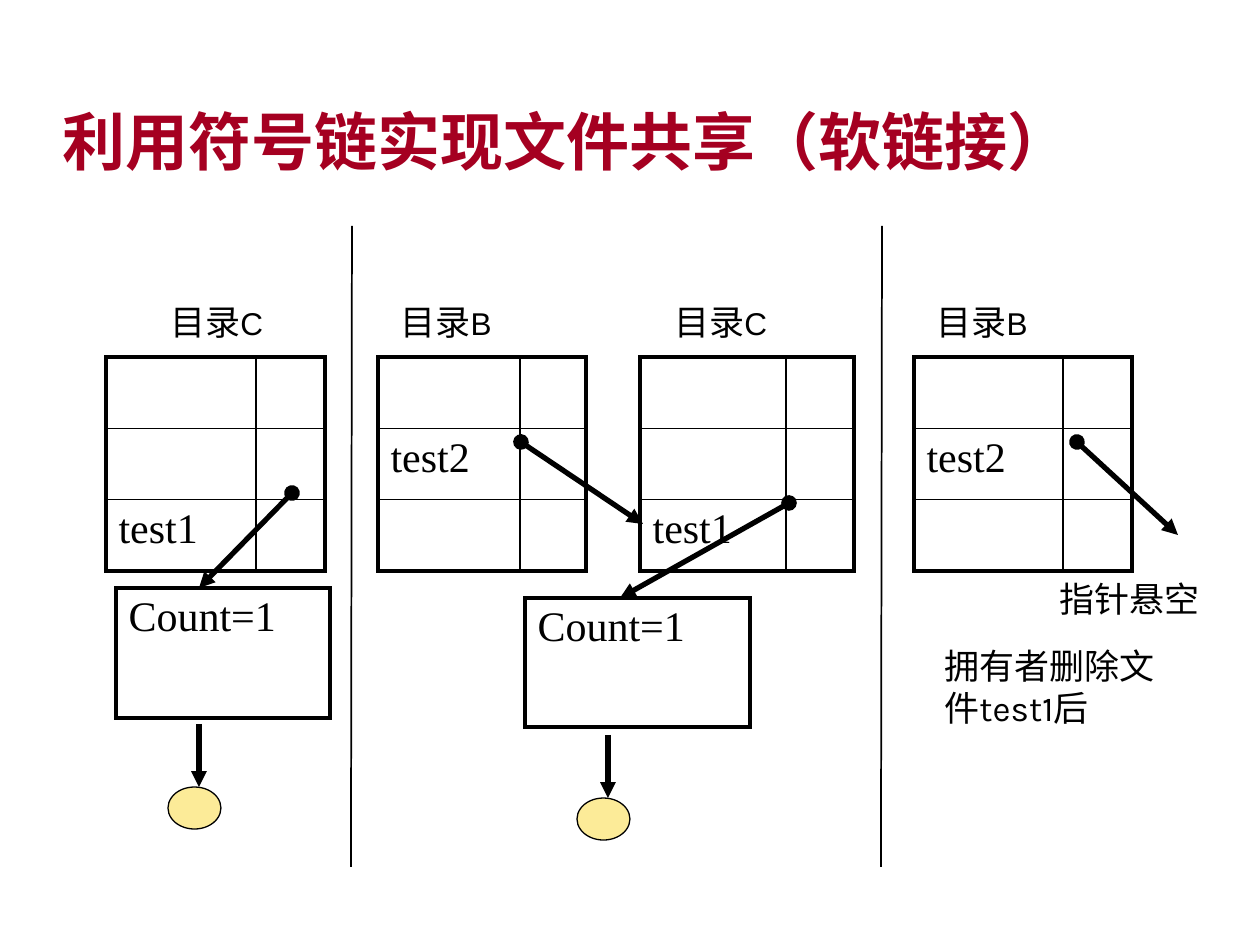
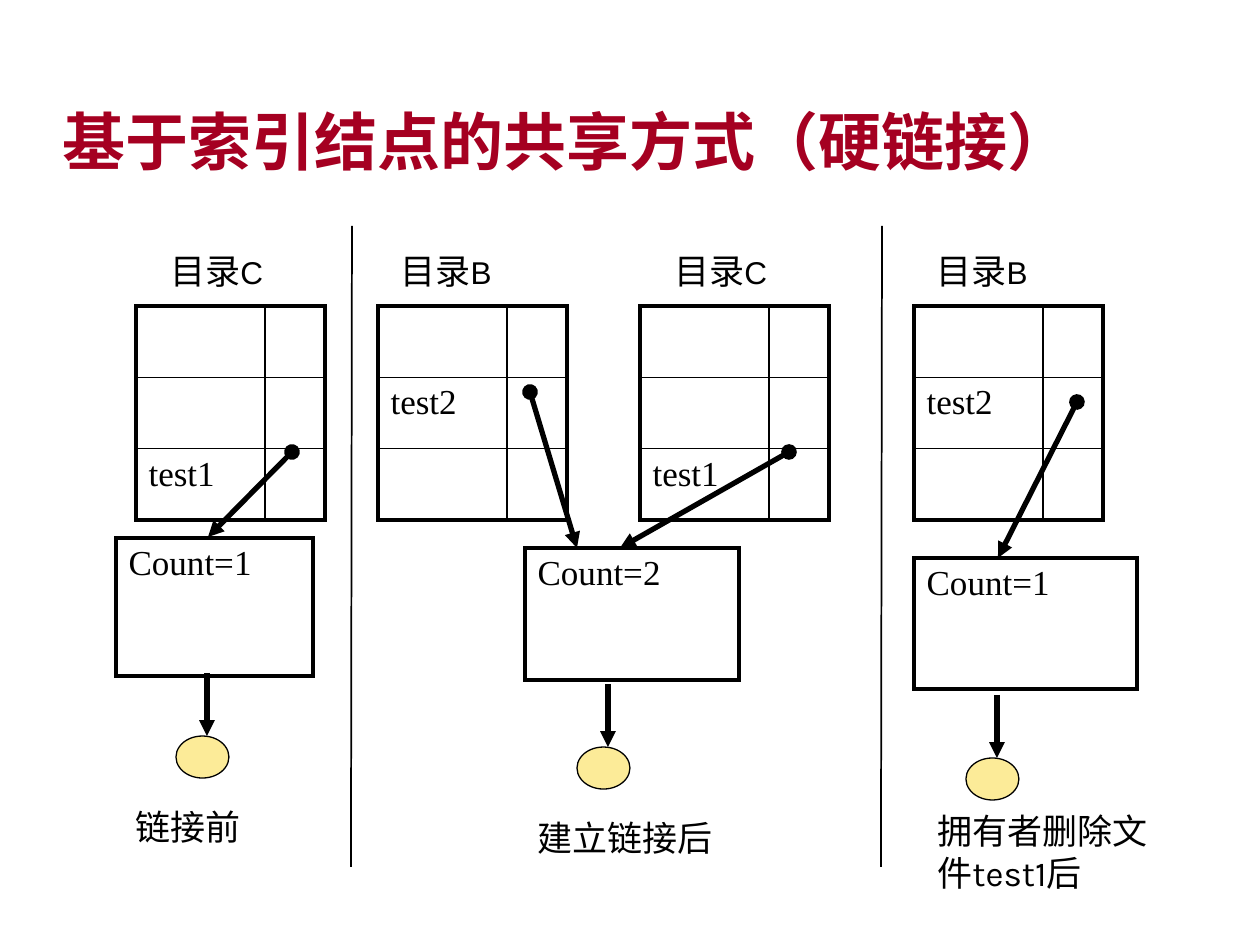
from lxml.etree import SubElement
from pptx import Presentation
from pptx.dml.color import RGBColor
from pptx.enum.lang import MSO_LANGUAGE_ID as Language
from pptx.enum.shapes import MSO_CONNECTOR as Connector, MSO_SHAPE as Preset
from pptx.enum.text import MSO_ANCHOR as Anchor
from pptx.oxml.ns import qn
from pptx.util import Emu, Pt

BLACK, CRIMSON, YELLOW = "000000", "A50021", "FCEB98"
SANS, BODY, SERIF = "Arial", "Karla", "Times New Roman"

TITLE_AREA = (50, 98, 1157, 87)
DIVIDERS = [((882, 226), (881, 867)), ((352, 226), (351, 867))]
THICK, THIN = 2.25, 1

# Label left edge and letter of each directory, from left to right
DIRECTORY_LABELS = [(158, "C"), (388, "B"), (662, "C"), (924, "B")]
LABEL_SIZE = (179, 63)
DIRECTORY_ROWS = {"B": ["", "test2", ""], "C": ["", "", "test1"]}
DIRECTORY_HEIGHT = 214
NAME_SHARE = 0.683

DISC_SIZE = (53, 42)
DISC_ARROW = (31, 63)  # offset from the disc's left edge, length

SLIDES = [
    {
        "title": "利用符号链实现文件共享（软链接）",
        "directory_top": 357,
        "directories": [(106, 219), (378, 208), (640, 214), (914, 218)],
        "table_font": 24,
        "counts": [("Count=1", 116, 588, 214, 130),
                   ("Count=1", 525, 598, 225, 129)],
        "discs": [(168, 787), (577, 798)],
        "pointers": [((292, 493), (199, 588)), ((521, 442), (643, 524)),
                     ((789, 503), (620, 598)), ((1077, 442), (1178, 535))],
        "captions": [("拥有者删除文件test1后", 932, 638, 256, 97),
                     ("指针悬空", 1047, 571, 189, 54)],
    },
    {
        "title": "基于索引结点的共享方式（硬链接）",
        "directory_top": 306,
        "directories": [(136, 189), (378, 189), (640, 189), (914, 189)],
        "table_font": 20,
        "counts": [("Count=1", 116, 538, 197, 138),
                   ("Count=2", 525, 548, 214, 132),
                   ("Count=1", 914, 558, 223, 131)],
        "discs": [(176, 736), (577, 747), (966, 758)],
        "pointers": [((292, 452), (208, 537)), ((530, 392), (577, 548)),
                     ((789, 452), (620, 548)), ((1077, 402), (998, 558))],
        "captions": [("链接前", 123, 799, 179, 54),
                     ("建立链接后", 525, 810, 262, 54),
                     ("拥有者删除文件test1后", 925, 803, 266, 97)],
    },
]


def px(*lengths):
    return [Emu(round(length * 914400 / 126)) for length in lengths]


def color(hex_code):
    return RGBColor.from_string(hex_code)


def add_span(para, text, size, font, hex_code=BLACK, bold=False):
    span = para.add_run()
    span.text = text
    span.font.size = Pt(size)
    span.font.name = font
    span.font.bold = bold
    span.font.color.rgb = color(hex_code)
    span.font.language_id = Language.SIMPLIFIED_CHINESE


def add_text(page, area, *spans, anchor=Anchor.TOP):
    """Add a wrapped one-paragraph box and return its paragraph."""
    frame = page.shapes.add_textbox(*px(*area)).text_frame
    frame.word_wrap = True
    frame.vertical_anchor = anchor
    para = frame.paragraphs[0]
    for span in spans:
        add_span(para, *span)
    return para


def add_line(page, start, end, width, head=None, tail=None):
    line = page.shapes.add_connector(Connector.STRAIGHT, *px(*start, *end))
    line.line.color.rgb = color(BLACK)
    line.line.width = Pt(width)
    outline = line.line._get_or_add_ln()
    for tag, kind in (("a:headEnd", head), ("a:tailEnd", tail)):
        if kind:
            SubElement(outline, qn(tag), type=kind)
    SubElement(line._element.spPr, qn("a:effectLst"))


def set_border(cell, side, width):
    border = SubElement(cell._tc.get_or_add_tcPr(), qn(f"a:ln{side}"),
                        w=str(Pt(width)))
    fill = SubElement(border, qn("a:solidFill"))
    SubElement(fill, qn("a:srgbClr"), val=BLACK)


def add_grid(page, area, rows, widths, size):
    """Add an unfilled table with a thick frame and thin inner lines."""
    table = page.shapes.add_table(len(rows), len(widths), *px(*area)).table
    table.first_row = table.horz_banding = False
    for column, width in zip(table.columns, px(*widths)):
        column.width = width
    for r, texts in enumerate(rows):
        table.rows[r].height = px(area[3] / len(rows))[0]
        for c, text in enumerate(texts):
            cell = table.cell(r, c)
            on_frame = {"L": c == 0, "R": c == len(widths) - 1,
                        "T": r == 0, "B": r == len(rows) - 1}
            for side, outer in on_frame.items():
                set_border(cell, side, THICK if outer else THIN)
            cell.fill.background()
            if text:
                add_span(cell.text_frame.paragraphs[0], text, size, SERIF)


def add_directory(page, left, top, width, letter, size):
    name_width = round(width * NAME_SHARE)
    rows = [(name, "") for name in DIRECTORY_ROWS[letter]]
    add_grid(page, (left, top, width, DIRECTORY_HEIGHT), rows,
             (name_width, width - name_width), size)


def add_disc(page, left, top):
    """Add a disc with the arrow that points down at it."""
    disc = page.shapes.add_shape(Preset.OVAL, *px(left, top, *DISC_SIZE))
    disc.shadow.inherit = False
    disc.fill.solid()
    disc.fill.fore_color.rgb = color(YELLOW)
    disc.line.color.rgb = color(BLACK)
    disc.line.width = Pt(0.75)
    offset, length = DISC_ARROW
    add_line(page, (left + offset, top - length), (left + offset, top), 3,
             tail="triangle")


def build_slide(deck, content):
    page = deck.slides.add_slide(deck.slide_layouts[6])
    title = add_text(page, TITLE_AREA,
                     (content["title"], 36, SANS, CRIMSON, True),
                     anchor=Anchor.BOTTOM)
    title.line_spacing = 0.9

    top, size = content["directory_top"], content["table_font"]
    for (left, width), (label_left, letter) in zip(content["directories"],
                                                   DIRECTORY_LABELS):
        add_directory(page, left, top, width, letter, size)
        add_text(page, (label_left, top - LABEL_SIZE[1], *LABEL_SIZE),
                 ("目录", 20, BODY), (letter, 18, SANS))
    for text, *area in content["counts"]:
        add_grid(page, area, [(text,)], (area[2],), size)
    for place in content["discs"]:
        add_disc(page, *place)
    for start, end in content["pointers"]:
        add_line(page, start, end, 3, head="oval", tail="triangle")
    for text, *area in content["captions"]:
        add_text(page, area, (text, 20, BODY))
    for start, end in DIVIDERS:
        add_line(page, start, end, 1)


def main():
    deck = Presentation()
    deck.slide_width, deck.slide_height = px(1260, 945)
    for content in SLIDES:
        build_slide(deck, content)
    deck.save("out.pptx")


if __name__ == "__main__":
    main()
